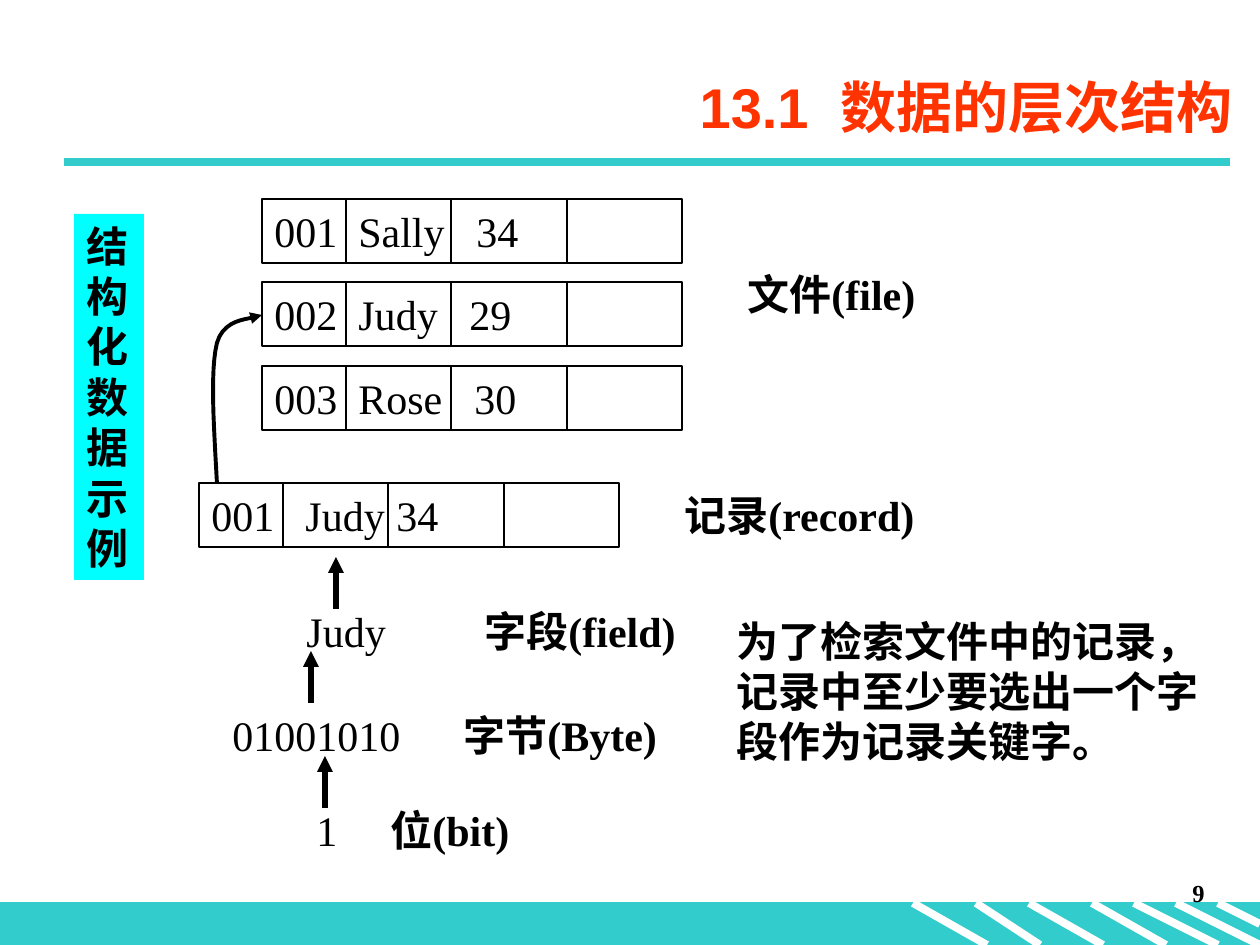
from pptx import Presentation
from pptx.dml.color import RGBColor
from pptx.enum.shapes import MSO_CONNECTOR, MSO_SHAPE
from pptx.enum.text import MSO_ANCHOR, PP_ALIGN
from pptx.oxml.ns import qn
from pptx.util import Pt
from lxml import etree

RECT = MSO_SHAPE.RECTANGLE
STRAIGHT = MSO_CONNECTOR.STRAIGHT
LEFT, RIGHT = PP_ALIGN.LEFT, PP_ALIGN.RIGHT
TOP, MIDDLE = MSO_ANCHOR.TOP, MSO_ANCHOR.MIDDLE
SCALE = 914400 / 126

COLORS = {"teal": "33CCCC", "cyan": "00FFFF", "red": "FF3300",
          "black": "000000", "white": "FFFFFF"}
SERIF, SANS = "Times New Roman", "Arial"

TITLE = ("13.1", "数据的层次结构")
SIDE_LABEL = "结构化数据示例"
NOTE = "为了检索文件中的记录，记录中至少要选出一个字段作为记录关键字。"
PAGE_NUMBER = "9"

RECORDS = [
    (262, 199, ("001", "Sally", "34"), (84, 202)),
    (262, 282, ("002", "Judy", "29"), (84, 195)),
    (262, 366, ("003", "Rose", "30"), (84, 200)),
    (199, 483, ("001", "Judy", "34"), (94, 185)),
]
RECORD_W, RECORD_H = 420, 64
DIVIDERS = (84, 189, 305)

LABELS = [
    ("文件(file)", 735, 262, 223),
    ("记录(record)", 672, 483, 266),
    ("字段(field)", 472, 599, 247),
    ("字节(Byte)", 451, 703, 258),
    ("位(bit)", 378, 798, 213),
]
VALUES = [("Judy", 294, 599, 147), ("01001010", 220, 703, 210), ("1", 304, 798, 70)]
UP_ARROWS = [(336, 609), (311, 703), (325, 808)]
ARROW_LEN = 52

BAND_TOP, BAND_BOTTOM = 903, 945
STRIPES = [(913, 987), (976, 1040), (1029, 1103), (1092, 1166), (1134, 1218), (1176, 1260)]
SHORT_STRIPE = (1218, 903, 1260, 924)
LINK_CURVE = [
    ((217, 483), (214, 427), (210, 371), (217, 343)),
    ((217, 343), (225, 315), (256, 320), (262, 315)),
]
CURVE_STEPS = 12


def px(n):
    return round(n * SCALE)


def rgb(name):
    return RGBColor.from_string(COLORS[name])


def add_head(sp):
    etree.SubElement(sp.line._get_or_add_ln(), qn("a:tailEnd"), type="triangle")


def add_line(x1, y1, x2, y2, color="black", width=0.75, head=False):
    s = slide.shapes.add_connector(STRAIGHT, px(x1), px(y1), px(x2), px(y2))
    s.line.color.rgb = rgb(color)
    s.line.width = Pt(width)
    if head:
        add_head(s)
    etree.SubElement(s._element.spPr, qn("a:effectLst"))


def add_rect(x, y, w, h, fill=None, line=None):
    s = slide.shapes.add_shape(RECT, px(x), px(y), px(w), px(h))
    s.shadow.inherit = False
    if fill:
        s.fill.solid()
        s.fill.fore_color.rgb = rgb(fill)
    else:
        s.fill.background()
    if line:
        s.line.color.rgb = rgb(line)
        s.line.width = Pt(0.75)
    else:
        s.line.fill.background()
    return s


def add_box(x, y, w, h):
    return slide.shapes.add_textbox(px(x), px(y), px(w), px(h))


def write(s, text, size=24, font=SERIF, color="black", bold=False,
          align=LEFT, anchor=TOP, tabs=()):
    tf = s.text_frame
    tf.word_wrap = True
    tf.vertical_anchor = anchor
    p = tf.paragraphs[0]
    p.alignment = align
    if tabs:
        stops = etree.SubElement(p._p.get_or_add_pPr(), qn("a:tabLst"))
        for pos in tabs:
            etree.SubElement(stops, qn("a:tab"), pos=str(px(pos)), algn="l")
    for part in [text] if isinstance(text, str) else text:
        r = p.add_run()
        r.text = part
        r.font.size = Pt(size)
        r.font.name = font
        r.font.bold = bold
        r.font.color.rgb = rgb(color)
    return p


def add_record(x, y, fields, tabs):
    write(add_rect(x, y, RECORD_W, RECORD_H, line="black"), "\t".join(fields), tabs=tabs)
    for dx in DIVIDERS:
        add_line(x + dx, y, x + dx, y + RECORD_H - 1)


def bezier(points, t):
    weights = ((1 - t) ** 3, 3 * t * (1 - t) ** 2, 3 * t * t * (1 - t), t ** 3)
    return tuple(px(sum(w * c for w, c in zip(weights, axis))) for axis in zip(*points))


def add_curve(segments):
    fb = slide.shapes.build_freeform(*map(px, segments[0][0]))
    fb.add_line_segments([bezier(seg, i / CURVE_STEPS) for seg in segments
                          for i in range(1, CURVE_STEPS + 1)], close=False)
    s = fb.convert_to_shape()
    s.shadow.inherit = False
    s.fill.background()
    s.line.color.rgb = rgb("black")
    s.line.width = Pt(2.25)
    add_head(s)


prs = Presentation()
prs.slide_width, prs.slide_height = px(1260), px(945)
slide = prs.slides.add_slide(prs.slide_layouts[6])

add_rect(0, BAND_TOP, 1260, BAND_BOTTOM - BAND_TOP, fill="teal", line="teal")
for x1, x2 in STRIPES:
    add_line(x1, BAND_TOP, x2, BAND_BOTTOM, "white", 4.5)
add_line(*SHORT_STRIPE, "white", 4.5)
add_line(64, 162, 1230, 162, "teal", 4.5)
write(add_box(955, 872, 262, 63), PAGE_NUMBER, size=14, bold=True, align=RIGHT)

number, heading = TITLE
p = write(add_box(174, 56, 1071, 100), (number, " ", heading), size=32, font=SANS,
          color="red", bold=True, align=RIGHT, anchor=MIDDLE)
p.runs[1].font._element.set("spc", "900")

for record in RECORDS:
    add_record(*record)
for text, x, y, w in LABELS:
    write(add_box(x, y, w, 63), text, bold=True)
for text, x, y, w in VALUES:
    write(add_box(x, y, w, 63), text)
for x, y in UP_ARROWS:
    add_line(x, y, x, y - ARROW_LEN, width=3, head=True)
add_curve(LINK_CURVE)
write(add_box(724, 609, 494, 164), NOTE, bold=True)
write(add_rect(74, 214, 70, 366, fill="cyan"), SIDE_LABEL, bold=True)

prs.save("out.pptx")
